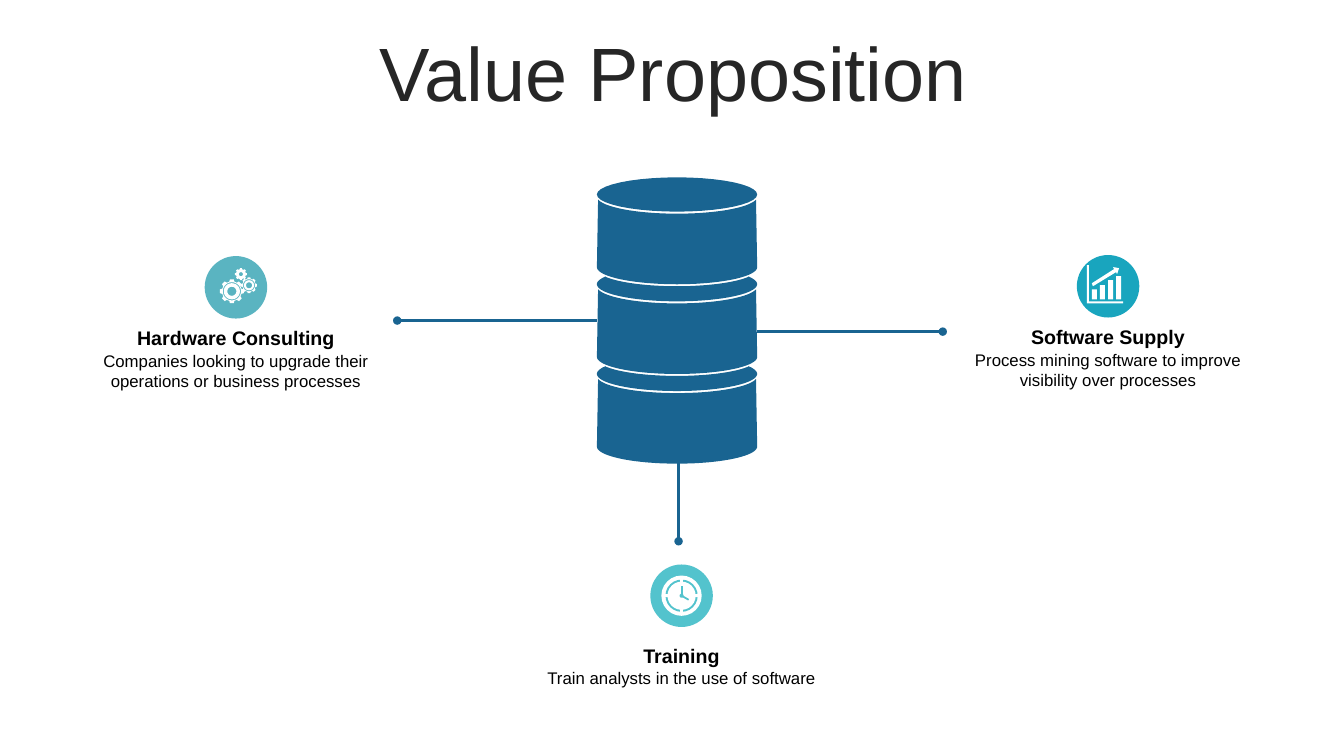
from math import cos, sin, radians

from lxml import etree
from pptx import Presentation
from pptx.dml.color import RGBColor
from pptx.enum.shapes import MSO_CONNECTOR as CONN, MSO_SHAPE as SHAPE
from pptx.enum.text import MSO_ANCHOR as ANCHOR, PP_ALIGN as ALIGN
from pptx.oxml.ns import qn
from pptx.util import Inches, Pt

# Content: heading, detail, block left, heading top, icon rise, icon colour
TITLE = "Value Proposition"
OFFERS = [
    ("Software Supply", "Process mining software to improve visibility over processes",
     9.54, 3.17, 0.64, "cyan"),
    ("Hardware Consulting",
     "Companies looking to upgrade their operations or business processes",
     0.89, 3.18, 0.64, "teal"),
    ("Training", "Train analysts in the use of software",
     5.31, 6.33, 0.73, "aqua"),
]
COLORS = {"blue": "196491", "cyan": "19A5BE", "teal": "5AB4C1", "aqua": "53C3CD",
          "title": "262626", "text": "000000", "white": "FFFFFF"}
FONT = "Arial"

# Layout in inches
WIDTH, HEIGHT = 13.33, 7.5
BLOCK_W, ICON = 2.9, 0.62
DISK_X, DISK_RX, DISK_RY = 6.715, 0.795, 0.17
DISK_TOP, DISK_PITCH, DISKS = 1.93, 0.89, 3
SPOKES = [((5.92, 3.18), (3.94, 3.18)),
          ((6.73, 4.23), (6.73, 5.37)),
          ((7.51, 3.29), (9.35, 3.29))]
# Gear centre, outer radius, radii of the inner rings
GEARS = [((2.3, 2.89), 0.12, (0.09, 0.08, 0.045)),
         ((2.47, 2.83), 0.08, (0.06, 0.05, 0.03)),
         ((2.39, 2.72), 0.06, (0.02,))]

prs = Presentation()
prs.slide_width, prs.slide_height = Inches(WIDTH), Inches(HEIGHT)
slide = prs.slides.add_slide(prs.slide_layouts[6])
shapes = slide.shapes


def rgb(name):
    return RGBColor.from_string(COLORS[name])


def paint(sp, color):
    sp.shadow.inherit = False
    sp.fill.solid()
    sp.fill.fore_color.rgb = rgb(color)
    sp.line.fill.background()
    return sp


def preset(kind, x, y, w, h, color):
    return paint(shapes.add_shape(kind, *map(Inches, (x, y, w, h))), color)


def disc(cx, cy, radius, color):
    return preset(SHAPE.OVAL, cx - radius, cy - radius, 2 * radius, 2 * radius, color)


def outline(contours, color):
    emu = [[(Inches(x), Inches(y)) for x, y in c] for c in contours]
    fb = shapes.build_freeform(*emu[0][0])
    for i, points in enumerate(emu):
        if i:
            fb.move_to(*points[0])
        fb.add_line_segments(points[1:], close=True)
    return paint(fb.convert_to_shape(), color)


def arc(cx, cy, rx, ry, start, end, steps=40):
    angles = [radians(start + (end - start) * i / steps) for i in range(steps + 1)]
    return [(cx + rx * cos(a), cy + ry * sin(a)) for a in angles]


def text(words, x, y, w, h, size, color="text", bold=False, anchor=ANCHOR.TOP):
    tf = shapes.add_textbox(*map(Inches, (x, y, w, h))).text_frame
    tf.word_wrap = True
    tf.vertical_anchor = anchor
    p = tf.paragraphs[0]
    p.alignment = ALIGN.CENTER
    r = p.add_run()
    r.text = words
    r.font.name, r.font.size, r.font.bold = FONT, Pt(size), bold
    r.font.color.rgb = rgb(color)
    return p


def line(start, end, color, width, dot=False):
    cn = shapes.add_connector(CONN.STRAIGHT, *map(Inches, start + end))
    cn.line.color.rgb = rgb(color)
    cn.line.width = Pt(width)
    if dot:
        etree.SubElement(cn.line._get_or_add_ln(), qn("a:tailEnd"), type="oval")
    etree.SubElement(cn._element.spPr, qn("a:effectLst"))


# Title
text(TITLE, 0.35, 0.37, 12.66, 0.79, 54, "title", anchor=ANCHOR.MIDDLE).line_spacing = 0.9

# Database: each disk has a body and a lid, lower lids are cut by the disk above
for i in range(DISKS):
    y = DISK_TOP + i * DISK_PITCH

    def rim(drop, start, end):
        return arc(DISK_X, y + drop, DISK_RX, DISK_RY, start, end)

    outline([rim(0.02, 170, 10) + rim(0.72, 0, 180)], "blue")
    lid = rim(0, -27, 207) + rim(-0.15, 153, 27) if i else rim(0, 0, 360)
    outline([lid], "blue")

# Spokes
for start, end in SPOKES:
    line(start, end, "blue", 2, dot=True)

# Offers
for heading, detail, x, y, rise, color in OFFERS:
    preset(SHAPE.OVAL, x + (BLOCK_W - ICON) / 2, y - rise, ICON, ICON, color)
    text(heading, x, y, BLOCK_W, 0.34, 14, bold=True, anchor=ANCHOR.MIDDLE)
    text(detail, x, y + 0.25, BLOCK_W, 0.5, 12)

# Gears icon
TEETH = 8
for (cx, cy), outer, rings in GEARS:
    teeth = []
    for k in range(TEETH):
        for offset, share in ((-15, 0.82), (-9, 1), (9, 1), (15, 0.82)):
            a = radians(k * 360 / TEETH + offset)
            teeth.append((cx + outer * share * cos(a), cy + outer * share * sin(a)))
    outline([teeth] + [arc(cx, cy, r, r, 0, 360) for r in rings], "white")

# Growth chart icon
BASE = 2.97
bars = [[(x, top), (x + 0.05, top), (x + 0.05, BASE), (x, BASE)]
        for x, top in zip((10.83, 10.91, 10.99, 11.07), (2.87, 2.83, 2.78, 2.74))]
arrow = [(11.04, 2.65), (11.1, 2.66), (11.08, 2.72), (11.07, 2.7),
         (10.84, 2.84), (10.83, 2.81), (11.05, 2.67)]
axes = [(10.78, 2.63), (10.8, 2.63), (10.8, 2.99), (11.14, 2.99),
        (11.14, 3.01), (10.78, 3.01)]
outline(bars + [arrow, axes], "white")

# Clock icon
CX, CY = 6.76, 5.91
for radius, color in ((0.2, "white"), (0.16, "aqua"), (0.14, "white")):
    disc(CX, CY, radius, color)
for w, h in ((0.03, 0.34), (0.34, 0.03)):
    preset(SHAPE.RECTANGLE, CX - w / 2, CY - h / 2, w, h, "white")
line((CX, CY), (CX, CY - 0.1), "aqua", 1.5)
line((CX, CY), (CX + 0.07, CY + 0.04), "aqua", 1.25)
disc(CX, CY, 0.02, "aqua")

prs.save("out.pptx")
